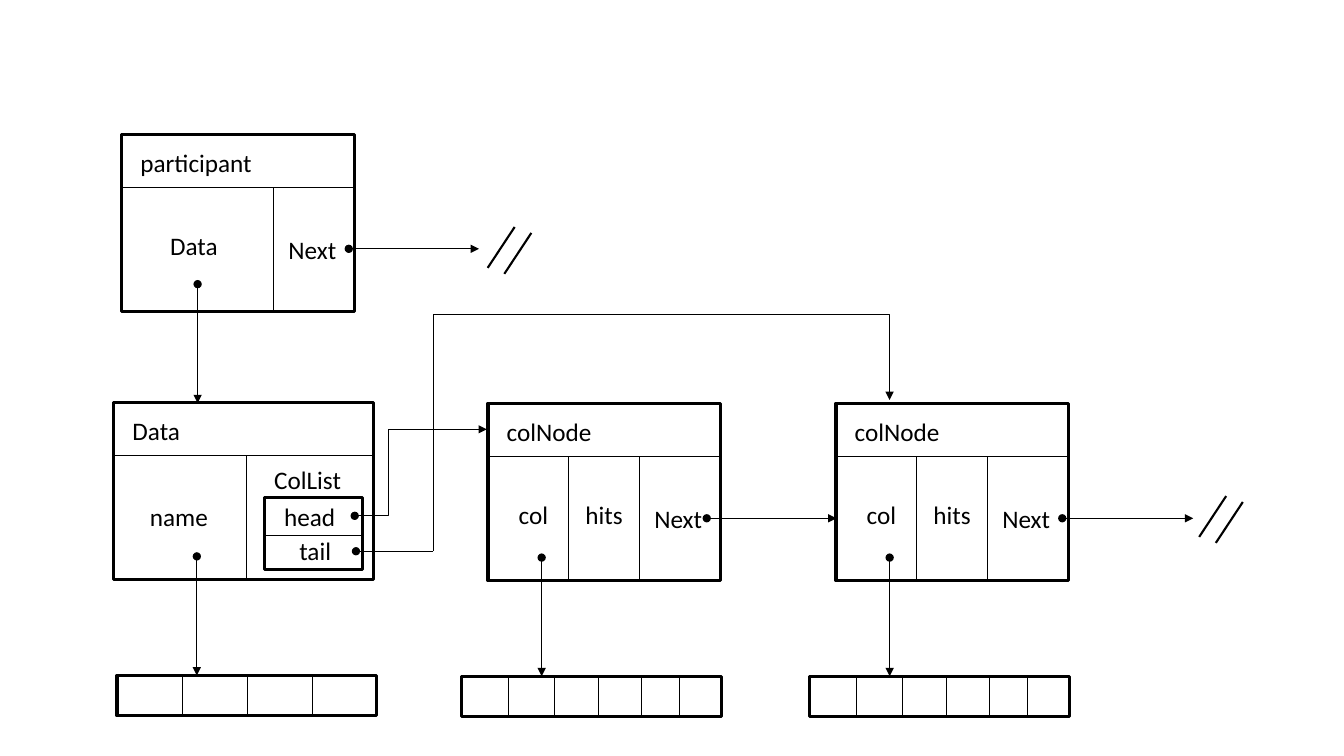
from pptx import Presentation
from pptx.util import Cm, Pt
from pptx.dml.color import RGBColor
from pptx.enum.shapes import MSO_CONNECTOR, MSO_SHAPE
from pptx.enum.text import PP_ALIGN
from lxml.etree import SubElement
from pptx.oxml.ns import qn

COLORS = {"ink": "000000", "paper": "FFFFFF"}
INK = RGBColor.from_string(COLORS["ink"])
PAPER = RGBColor.from_string(COLORS["paper"])

prs = Presentation()
prs.slide_width, prs.slide_height = Cm(33.87), Cm(19.05)
s = prs.slides.add_slide(prs.slide_layouts[6])


def add_box(x, y, w, h, text=None, align=PP_ALIGN.LEFT):
    if text is None:
        sp = s.shapes.add_shape(MSO_SHAPE.RECTANGLE, Cm(x), Cm(y), Cm(w), Cm(h))
        sp.shadow.inherit = False
        sp.fill.solid()
        sp.fill.fore_color.rgb = PAPER
        sp.line.color.rgb = INK
        sp.line.width = Pt(2.25)
        return
    tf = s.shapes.add_textbox(Cm(x), Cm(y), Cm(w), Cm(h)).text_frame
    tf.word_wrap = True
    p = tf.paragraphs[0]
    p.text = text
    p.alignment = align
    p.font.name = "Calibri"
    p.font.size = Pt(18)
    p.font.color.rgb = INK


def add_line(x1, y1, x2, y2, width=0.5, head=None, tail=None, bend=None):
    kind = MSO_CONNECTOR.STRAIGHT if bend is None else MSO_CONNECTOR.ELBOW
    c = s.shapes.add_connector(kind, Cm(x1), Cm(y1), Cm(x2), Cm(y2))
    c.line.color.rgb = INK
    c.line.width = Pt(width)
    spPr = c._element.spPr
    ln = spPr.find(qn("a:ln"))
    for tag, end in (("a:headEnd", head), ("a:tailEnd", tail)):
        if end:
            SubElement(ln, qn(tag), type=end)
    SubElement(spPr, qn("a:effectLst"))
    if bend is not None:
        geom = spPr.find(qn("a:prstGeom"))
        avLst = geom.find(qn("a:avLst"))
        if avLst is None:
            avLst = SubElement(geom, qn("a:avLst"))
        SubElement(avLst, qn("a:gd"), name="adj1", fmla=f"val {round(bend * 100000)}")


col_xs = (12.3, 21.07)
node_h, header_h, label_h = 4.47, 1.34, 1.02

nodes = [
    ("participant", 3.07, 3.38, 5.87, [3.81]),
    ("Data", 2.87, 10.14, 6.55, [3.35]),
] + [("colNode", x, 10.16, 5.87, [2.02, 3.8]) for x in col_xs]
for title, x, y, w, dividers in nodes:
    add_box(x, y, w, node_h)
    add_box(x + 0.22, y + 0.21, 5.69, label_h, title)
    add_line(x, y + header_h, x + w, y + header_h)
    for dx in dividers:
        add_line(x + dx, y + header_h, x + dx, y + node_h)

add_box(6.66, 12.53, 2.47, 1.83)
add_line(6.66, 13.5, 9.13, 13.5)

labels = [
    ("Data", 4.04, 5.67, 1.85, PP_ALIGN.LEFT),
    ("Next", 7.02, 5.77, 1.78, PP_ALIGN.LEFT),
    ("name", 3.53, 12.52, 2.03, PP_ALIGN.LEFT),
    ("ColList", 6.66, 11.58, 2.47, PP_ALIGN.LEFT),
    ("head", 6.91, 12.5, 2.03, PP_ALIGN.LEFT),
    ("tail", 6.93, 13.36, 2.03, PP_ALIGN.CENTER),
]
for x in col_xs:
    labels += [
        ("col", x + 0.22, 12.45, 1.85, PP_ALIGN.CENTER),
        ("hits", x + 2, 12.47, 1.85, PP_ALIGN.CENTER),
        ("Next", x + 3.94, 12.55, 1.78, PP_ALIGN.LEFT),
    ]
for text, x, y, w, align in labels:
    add_box(x, y, w, label_h, text, align)

bar_w, bar_h = 6.55, 1.02
bars = [(2.95, 17.02, [bar_w / 4 * i for i in (1, 2, 3)])]
bars += [(x - 0.66, 17.04, [1.18, 2.34, 3.44, 4.52, 5.49]) for x in col_xs]
for x, y, dividers in bars:
    add_box(x, y, bar_w, bar_h)
    for dx in dividers:
        add_line(x + dx, y, x + dx, y + bar_h)

arrows = [
    (4.98, 7.16, 4.98, 10.16),
    (4.96, 14.02, 4.96, 17.02),
    (8.79, 6.27, 12.07, 6.27),
    (17.81, 13.06, 21.08, 13.06),
    (26.77, 13.06, 30.07, 13.06),
] + [(x + 1.35, 14.05, x + 1.35, 17.04) for x in col_xs]
for ends in arrows:
    add_line(*ends, head="oval", tail="triangle")

add_line(8.94, 13, 12.27, 10.82, head="oval", tail="triangle", bend=0.255)
add_line(8.97, 13.89, 10.92, 13.89, head="oval")
add_line(10.92, 13.89, 10.92, 7.92)
add_line(10.92, 7.92, 22.42, 10.08, tail="triangle", bend=1)

for x, y in ((12.29, 5.72), (30.22, 12.5)):
    for dx, dy in ((0, 0), (0.42, 0.15)):
        add_line(x + 0.68 + dx, y + dy, x + dx, y + 1.03 + dy, width=1.5)

prs.save("out.pptx")
